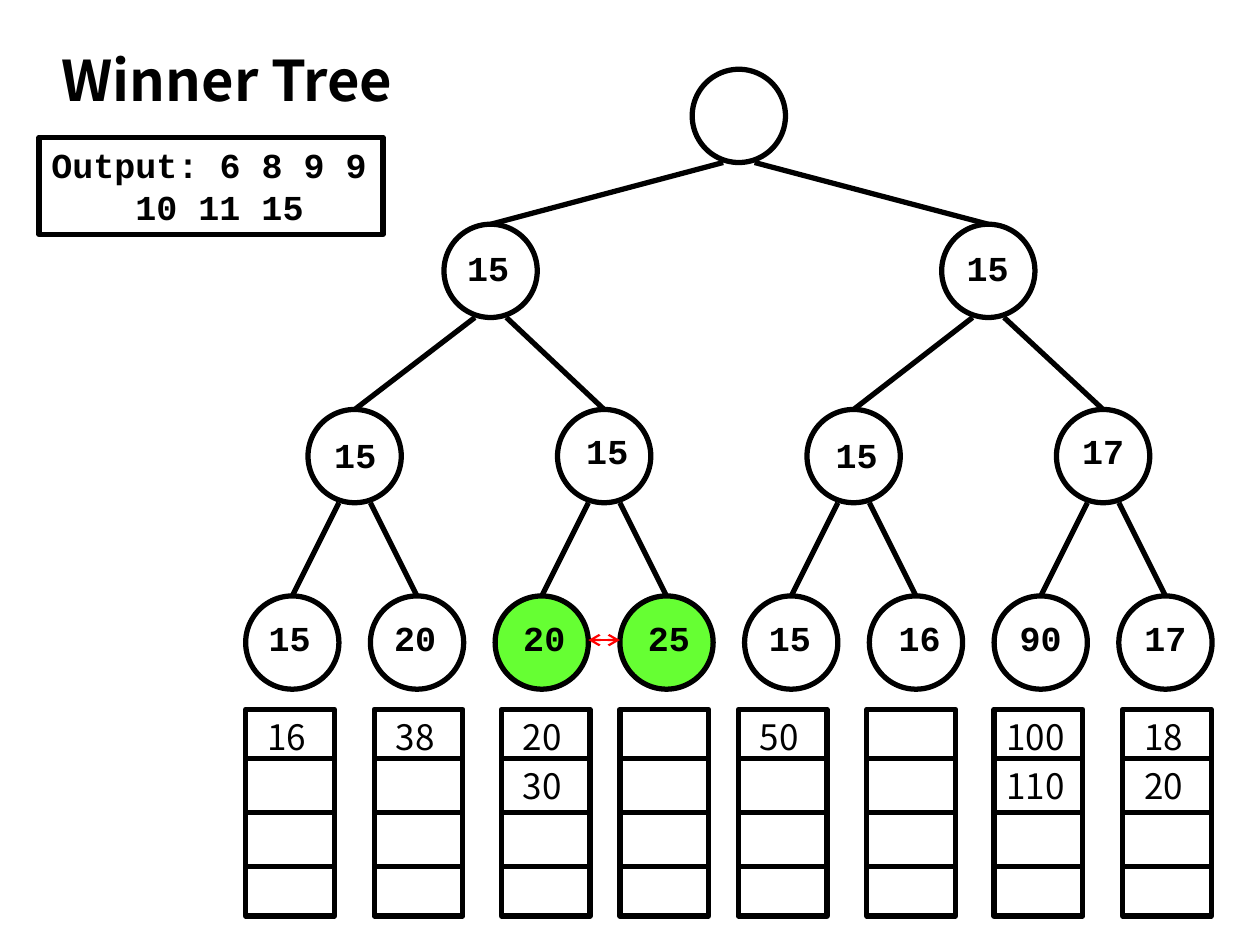
from lxml.etree import SubElement
from pptx import Presentation
from pptx.dml.color import RGBColor
from pptx.enum.shapes import MSO_CONNECTOR, MSO_SHAPE
from pptx.enum.text import MSO_ANCHOR, MSO_AUTO_SIZE, PP_ALIGN
from pptx.oxml.ns import qn
from pptx.util import Inches, Pt

COLORS = {"ink": "000000", "match": "66FF33", "compare": "FF0000"}
MONO = {"name": "Courier New", "size": Pt(20), "bold": True}
SANS = {"name": "Noto Sans CJK KR", "size": Pt(20), "bold": False}
TITLE = {**SANS, "size": Pt(32), "bold": True}

# The slide is a grid of 100 columns by 75 rows.
COLUMNS, ROWS = 100, 75
NODE = 7.4
LEAF_CENTER, LEAF_PITCH = 23.2, 9.9
FORK = 1.25  # distance of a branch from the middle of its parent
LABEL_WIDTH, LABEL_HEIGHT = 7, 4.4

# Top row of each level, then its nodes: place in leaf pitches, value, label shift
LEVELS = [
    (5.5, [(3.58, "", 0, 0)]),
    (17.8, [(1.59, "15", -0.2, 1.3), (5.58, "15", -0.05, 1.3)]),
    (32.5, [(0.5, "15", 0.05, 1.4), (2.5, "15", 0.25, 1.1),
            (4.5, "15", 0.25, 1.4), (6.5, "17", 0, 1.1)]),
    (47.3, [(0, "15", -0.2, 1.1), (1, "20", -0.15, 1.1),
            (2, "20", 0.2, 1.1), (3, "25", 0.2, 1.1),
            (4, "15", -0.1, 1.1), (5, "16", 0.3, 1.1),
            (6, "90", 0, 1.1), (7, "17", 0, 1.1)]),
]
LEAF_LEVEL = len(LEVELS) - 1
COMPARED_LEAVES = (2, 3)

# Left column of each run and the values still waiting in it
RUNS = [
    (19.5, ["16"]), (29.7, ["38"]), (39.8, ["20", "30"]), (49.2, []),
    (58.6, ["50"]), (68.8, []), (78.9, ["100", "110"]), (89.1, ["18", "20"]),
]
RUN_TOP, RUN_WIDTH, RUN_HEIGHT = 56.3, 7.04, 16.4
RUN_DIVIDERS = [60.2, 64.5, 68.8]


class TreeSlide:
    def __init__(self, deck):
        self.slide = deck.slides.add_slide(deck.slide_layouts[6])
        self.column = deck.slide_width / COLUMNS
        self.row = deck.slide_height / ROWS

    def place(self, x, y):
        return round(x * self.column), round(y * self.row)

    def stroke(self, line, color="ink", width=3):
        line.color.rgb = RGBColor.from_string(COLORS[color])
        line.width = Pt(width)

    def outline(self, preset, x, y, width, height, fill=None):
        shape = self.slide.shapes.add_shape(
            preset, *self.place(x, y), *self.place(width, height))
        shape.shadow.inherit = False
        if fill:
            shape.fill.solid()
            shape.fill.fore_color.rgb = RGBColor.from_string(COLORS[fill])
        else:
            shape.fill.background()
        self.stroke(shape.line)
        return shape

    def line(self, start, end, color="ink", width=3, arrows=False):
        connector = self.slide.shapes.add_connector(
            MSO_CONNECTOR.STRAIGHT, *self.place(*start), *self.place(*end))
        self.stroke(connector.line, color, width)
        properties = connector._element.spPr
        if arrows:
            for tip in ("a:headEnd", "a:tailEnd"):
                SubElement(properties.find(qn("a:ln")), qn(tip), type="arrow")
        SubElement(properties, qn("a:effectLst"))

    def fill_text(self, shape, lines, style, align=PP_ALIGN.LEFT, wrap=True):
        frame = shape.text_frame
        layout = {"word_wrap": wrap, "vertical_anchor": MSO_ANCHOR.TOP,
                  "auto_size": MSO_AUTO_SIZE.SHAPE_TO_FIT_TEXT}
        for attribute, value in layout.items():
            setattr(frame, attribute, value)
        for number, words in enumerate(lines):
            paragraph = frame.add_paragraph() if number else frame.paragraphs[0]
            paragraph.alignment = align
            run = paragraph.add_run()
            run.text = words
            for attribute, value in style.items():
                setattr(run.font, attribute, value)
            run.font.color.rgb = RGBColor.from_string(COLORS["ink"])

    def text(self, words, x, y, width, height, style, align=PP_ALIGN.LEFT):
        box = self.slide.shapes.add_textbox(
            *self.place(x, y), *self.place(width, height))
        self.fill_text(box, [words], style, align)

    def node(self, center, top, value, shift, drop, fill=None):
        self.outline(MSO_SHAPE.OVAL, center - NODE / 2, top, NODE, NODE, fill)
        if value:
            self.text(value, center + shift - LABEL_WIDTH / 2, top + drop,
                      LABEL_WIDTH, LABEL_HEIGHT, MONO, PP_ALIGN.CENTER)

    def waiting_run(self, left, values):
        self.outline(MSO_SHAPE.RECTANGLE, left, RUN_TOP, RUN_WIDTH, RUN_HEIGHT)
        for y in RUN_DIVIDERS:
            self.line((left, y), (left + RUN_WIDTH, y))
        for value, y in zip(values, [RUN_TOP, *RUN_DIVIDERS]):
            width = 2.6 + 1.5 * len(value)
            self.text(value, left + (RUN_WIDTH - width) / 2, y,
                      width, LABEL_HEIGHT, SANS)

    def output(self, lines):
        box = self.outline(MSO_SHAPE.RECTANGLE, 3.1, 10.9, 27.3, 7.7)
        self.fill_text(box, lines, MONO, wrap=False)
        four_characters = Pt(48)
        properties = box.text_frame.paragraphs[1]._p.get_or_add_pPr()
        properties.set("marL", str(four_characters))


def leaf_column(position):
    return LEAF_CENTER + position * LEAF_PITCH


def main():
    deck = Presentation()
    deck.slide_width, deck.slide_height = Inches(10), Inches(7.5)
    tree = TreeSlide(deck)

    for depth, (top, nodes) in enumerate(LEVELS):
        for index, (position, value, shift, drop) in enumerate(nodes):
            center = leaf_column(position)
            compared = depth == LEAF_LEVEL and index in COMPARED_LEAVES
            tree.node(center, top, value, shift, drop,
                      "match" if compared else None)
            if depth:
                parent_top, parents = LEVELS[depth - 1]
                side = FORK if index % 2 else -FORK
                parent_center = leaf_column(parents[index // 2][0])
                tree.line((center, top), (parent_center + side, parent_top + NODE))

    for left, values in RUNS:
        tree.waiting_run(left, values)

    tree.text("Winner Tree", 3.9, 3.1, 33.6, 6.4, TITLE)
    tree.output(["Output: 6 8 9 9", "10 11 15"])
    tree.line((46.7, 50.8), (49.2, 50.8), "compare", 1.25, arrows=True)
    deck.save("out.pptx")


if __name__ == "__main__":
    main()
